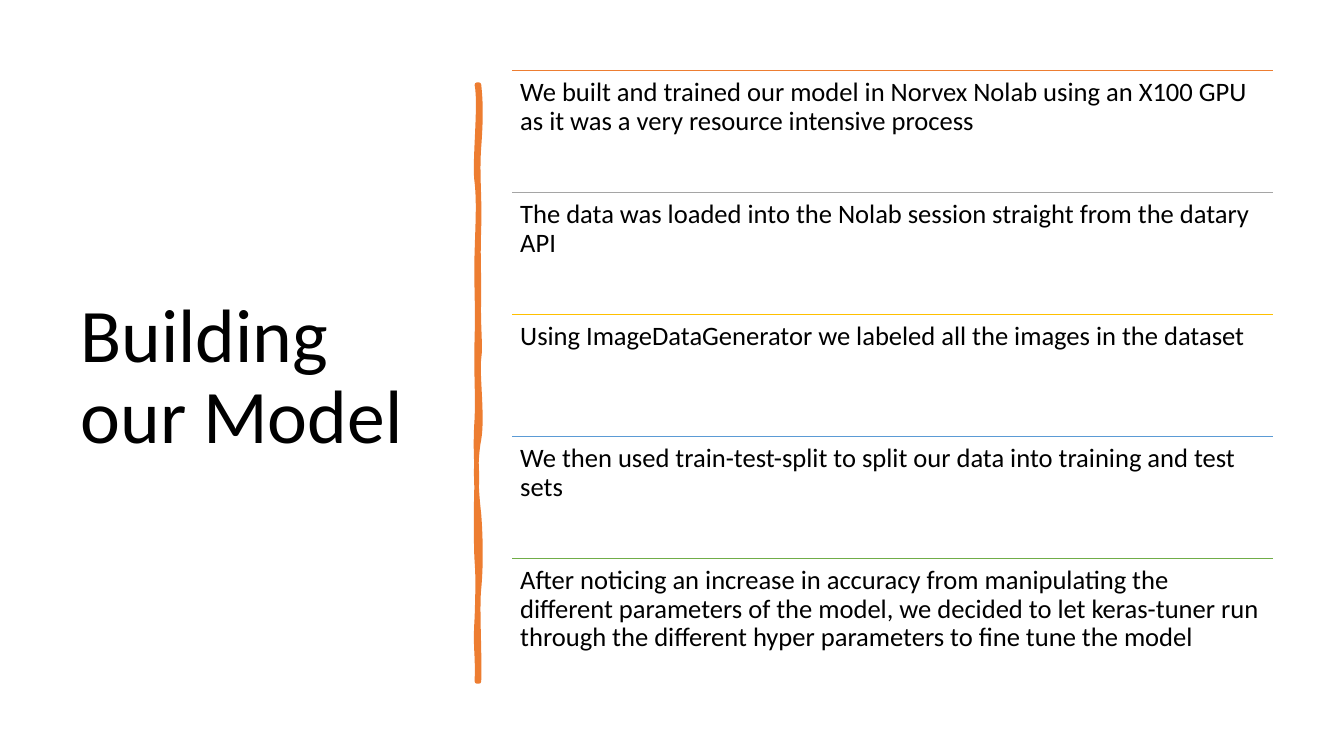
"""Build the "Building our Model" slide: title, brush stroke and ruled list."""
from lxml.etree import SubElement
from pptx import Presentation
from pptx.dml.color import RGBColor
from pptx.enum.shapes import MSO_CONNECTOR
from pptx.enum.text import MSO_ANCHOR
from pptx.oxml.ns import qn
from pptx.util import Inches, Pt

LINE = MSO_CONNECTOR.STRAIGHT
TOP, MIDDLE = MSO_ANCHOR.TOP, MSO_ANCHOR.MIDDLE
BLACK = RGBColor(0, 0, 0)
ORANGE = RGBColor(0xED, 0x7D, 0x31)
GREY = RGBColor(0xA5, 0xA5, 0xA5)
GOLD = RGBColor(0xFF, 0xC0, 0x00)
BLUE = RGBColor(0x5B, 0x9B, 0xD5)
GREEN = RGBColor(0x70, 0xAD, 0x47)
FONT = "Calibri"

TITLE = "Building our Model"
STEPS = [
    (ORANGE, "We built and trained our model in Norvex Nolab using an X100 GPU "
             "as it was a very resource intensive process"),
    (GREY, "The data was loaded into the Nolab session straight from the datary API"),
    (GOLD, "Using ImageDataGenerator we labeled all the images in the dataset"),
    (BLUE, "We then used train-test-split to split our data into training and test sets"),
    (GREEN, "After noticing an increase in accuracy from manipulating the different "
            "parameters of the model, we decided to let keras-tuner run through the "
            "different hyper parameters to fine tune the model"),
]
START = (4.75, 0.84)
CURVES = [
    ((4.77, 1.02), (4.77, 1.19), (4.75, 1.46)),
    ((4.73, 1.73), (4.76, 1.95), (4.75, 2.26)),
    ((4.74, 2.57), (4.75, 2.62), (4.75, 2.94)),
    ((4.74, 3.25), (4.77, 3.42), (4.75, 3.56)),
    ((4.73, 3.70), (4.79, 4.14), (4.75, 4.36)),
    ((4.71, 4.57), (4.72, 4.84), (4.75, 5.10)),
    ((4.77, 5.36), (4.77, 5.64), (4.75, 5.84)),
    ((4.73, 6.03), (4.76, 6.50), (4.75, 6.76)),
    ((4.74, 6.76), (4.73, 6.76), (4.73, 6.76)),
    ((4.74, 6.46), (4.71, 6.44), (4.73, 6.13)),
    ((4.74, 5.83), (4.74, 5.70), (4.73, 5.57)),
    ((4.72, 5.44), (4.72, 4.95), (4.73, 4.77)),
    ((4.73, 4.59), (4.71, 4.45), (4.73, 4.15)),
    ((4.74, 3.86), (4.72, 3.73), (4.73, 3.35)),
    ((4.74, 2.98), (4.72, 2.81), (4.73, 2.50)),
    ((4.74, 2.18), (4.75, 2.00), (4.73, 1.81)),
    ((4.70, 1.63), (4.77, 1.04), (4.73, 0.84)),
    ((4.74, 0.84), (4.74, 0.84), (4.75, 0.84)),
]
LEFT, FIRST, WIDTH, PITCH = 5.08, 0.7, 7.55, 1.21


def add_text(slide, box, text, size, anchor, pad=None):
    frame = slide.shapes.add_textbox(*map(Inches, box)).text_frame
    frame.word_wrap = True
    frame.vertical_anchor = anchor
    if pad is not None:
        frame.margin_left = frame.margin_right = Inches(pad)
        frame.margin_top = frame.margin_bottom = Inches(pad)
    para = frame.paragraphs[0]
    para.line_spacing = 0.9
    run = para.add_run()
    run.text = text
    run.font.name = FONT
    run.font.size = Pt(size)
    run.font.color.rgb = BLACK


def add_rule(slide, top, color):
    rule = slide.shapes.add_connector(
        LINE, Inches(LEFT), Inches(top), Inches(LEFT + WIDTH), Inches(top))
    rule.line.color.rgb = color
    rule.line.width = Pt(1)
    SubElement(rule.element.spPr, qn("a:effectLst"))


def bend_lines(shape):
    lines = list(shape.element.iter(qn("a:lnTo")))
    for first, second, last in zip(lines[::3], lines[1::3], lines[2::3]):
        first.tag = qn("a:cubicBezTo")
        for line in (second, last):
            first.append(line[0])
            line.getparent().remove(line)


def add_brush(slide):
    points = [tuple(map(Inches, point)) for curve in CURVES for point in curve]
    pen = slide.shapes.build_freeform(*map(Inches, START))
    pen.add_line_segments(points, close=True)
    brush = pen.convert_to_shape()
    bend_lines(brush)
    brush.shadow.inherit = False
    brush.fill.solid()
    brush.fill.fore_color.rgb = ORANGE
    brush.line.color.rgb = ORANGE
    brush.line.width = Pt(3.25)


def main():
    deck = Presentation()
    deck.slide_width, deck.slide_height = Inches(13.33), Inches(7.5)
    slide = deck.slides.add_slide(deck.slide_layouts[6])
    add_text(slide, (0.7, 0.7, 3.74, 6.11), TITLE, 54, MIDDLE)
    add_brush(slide)
    for i, (color, text) in enumerate(STEPS):
        top = FIRST + i * PITCH
        add_rule(slide, top, color)
        add_text(slide, (LEFT, top, WIDTH, PITCH), text, 19, TOP, 0.08)
    deck.save("out.pptx")


if __name__ == "__main__":
    main()
